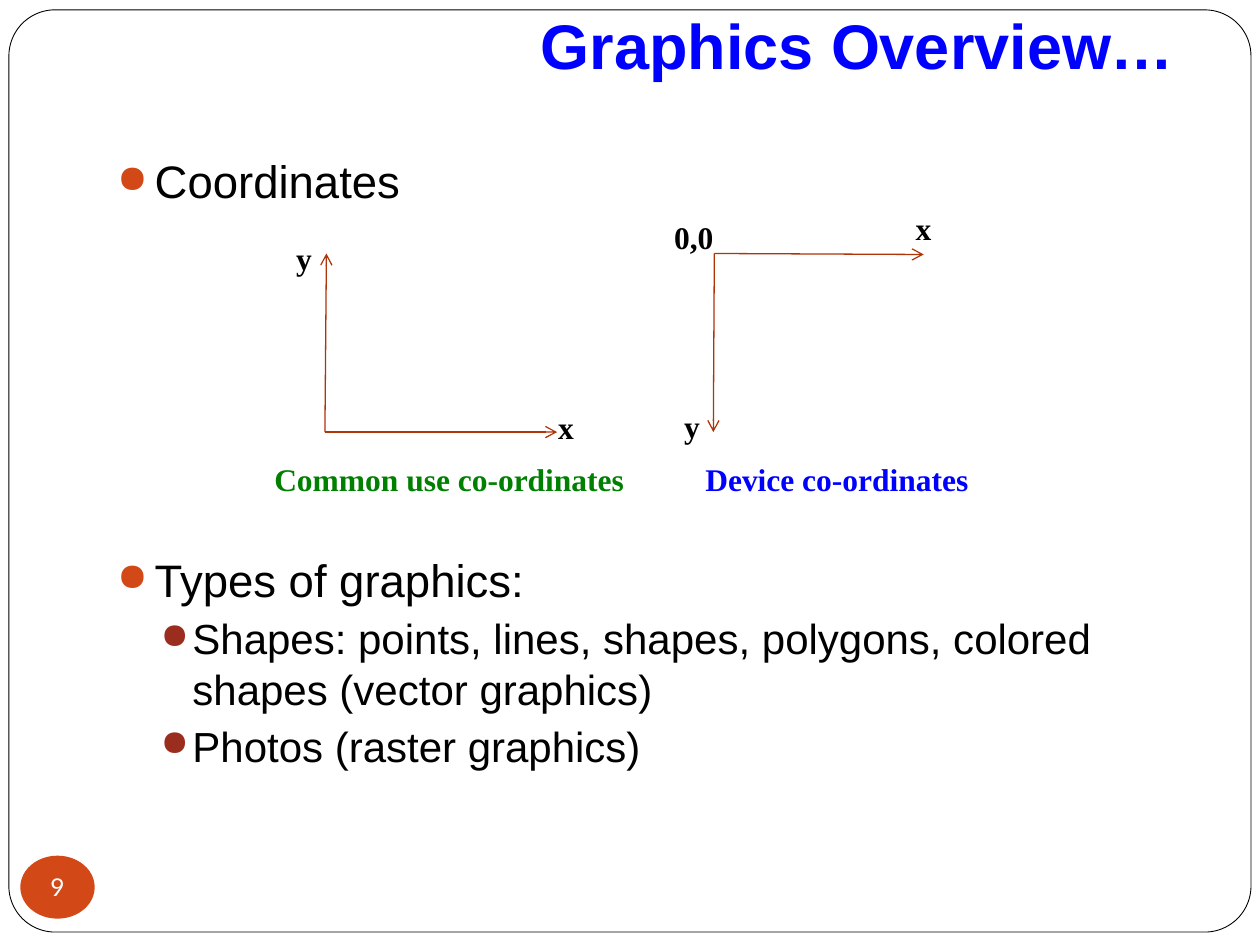
"""Build the graphics overview slide with two coordinate systems."""
from typing import NamedTuple

from lxml import etree
from pptx import Presentation
from pptx import util as u
from pptx.dml.color import RGBColor
from pptx.enum import shapes, text
from pptx.oxml import ns

AXIS_COLOR = "AF3408"
LABEL_FONT = {"name": "Times New Roman", "size": u.Pt(18), "bold": True}


class Label(NamedTuple):
    words: str
    left: float
    top: float
    width: float = 1.27
    height: float = 1.02
    color: str = "000000"


class Axis(NamedTuple):
    x1: float
    y1: float
    x2: float
    y2: float


class Bullet(NamedTuple):
    words: str
    level: int = 0


class Level(NamedTuple):
    size: int
    margin: float
    hanging: float
    before: float
    color: str


LEVELS = [Level(26, 0.76, 0.76, 5.8, "D34817"), Level(24, 1.52, 0.64, 3.7, "9B2D1F")]

AXES = [
    Axis(6.55, 8.71, 6.58, 5.11),
    Axis(6.55, 8.71, 11.23, 8.71),
    Axis(14.4, 5.11, 14.38, 8.71),
    Axis(14.4, 5.11, 18.62, 5.13),
]

LABELS = [
    Label("Common use co-ordinates", 5.28, 9.14, 7.82, 1.78, "008000"),
    Label("Device co-ordinates", 13.97, 9.14, 6.15, 1.78, "0000FF"),
    Label("0,0", 13.34, 4.27, 1.47),
    Label("y", 13.54, 8.08),
    Label("x", 18.21, 4.09),
    Label("x", 11, 8.1),
    Label("y", 5.72, 4.7),
]


def rgb(value: str) -> RGBColor:
    return RGBColor.from_string(value)


def cm(*values: float) -> list[u.Cm]:
    return [u.Cm(v) for v in values]


def apply(target, formats: dict) -> None:
    for name, value in formats.items():
        setattr(target, name, value)


def add_run(p, words: str, color: str, formats: dict) -> None:
    r = p.add_run()
    r.text = words
    apply(r.font, formats)
    r.font.color.rgb = rgb(color)


def add_axis(s, axis: Axis) -> None:
    line = s.shapes.add_connector(shapes.MSO_CONNECTOR.STRAIGHT, *cm(*axis))
    line.line.color.rgb = rgb(AXIS_COLOR)
    line.line.width = u.Pt(0.75)
    etree.SubElement(line.line._get_or_add_ln(), ns.qn("a:tailEnd"), type="arrow")
    etree.SubElement(line.element.spPr, ns.qn("a:effectLst"))


def add_label(s, label: Label) -> None:
    sp = s.shapes.add_textbox(*cm(label.left, label.top, label.width, label.height))
    apply(sp.text_frame, {"word_wrap": True, "auto_size": text.MSO_AUTO_SIZE.SHAPE_TO_FIT_TEXT})
    add_run(sp.text_frame.paragraphs[0], label.words, label.color, LABEL_FONT)


def add_bullets(s, box: tuple[float, ...], bullets: list[Bullet]) -> None:
    tf = s.shapes.add_textbox(*cm(*box)).text_frame
    tf.word_wrap = True
    for i, bullet in enumerate(bullets):
        p = tf.add_paragraph() if i else tf.paragraphs[0]
        level = LEVELS[bullet.level]
        apply(p, {"level": bullet.level, "space_before": u.Pt(level.before)})
        ppr = p._p.get_or_add_pPr()
        ppr.set("marL", str(u.Cm(level.margin)))
        ppr.set("indent", str(-u.Cm(level.hanging)))
        color = etree.SubElement(ppr, ns.qn("a:buClr"))
        etree.SubElement(color, ns.qn("a:srgbClr"), val=level.color)
        etree.SubElement(ppr, ns.qn("a:buSzPct"), val="85000")
        etree.SubElement(ppr, ns.qn("a:buChar"), char="●")
        add_run(p, bullet.words, "000000", {"name": "Arial", "size": u.Pt(level.size)})


def add_title(s, words: str) -> None:
    title = s.shapes.title
    left, top, width, height = cm(2.54, 0, 21.39, 1.91)
    apply(title, {"left": left, "top": top, "width": width, "height": height})
    apply(title.text_frame, {
        "vertical_anchor": text.MSO_ANCHOR.BOTTOM,
        "auto_size": text.MSO_AUTO_SIZE.NONE,
        "word_wrap": True,
        "margin_bottom": u.Cm(0.25),
    })
    p = title.text_frame.paragraphs[0]
    p.alignment = text.PP_ALIGN.RIGHT
    add_run(p, words, "0000FF", {"name": "Arial", "size": u.Pt(36), "bold": True})


def add_frame(s) -> None:
    sp = s.shapes.add_shape(shapes.MSO_SHAPE.ROUNDED_RECTANGLE, *cm(0.18, 0.2, 25.04, 18.59))
    sp.adjustments[0] = 0.05
    sp.shadow.inherit = False
    sp.fill.solid()
    sp.fill.fore_color.rgb = rgb("FFFFFF")
    sp.line.color.rgb = rgb("000000")
    sp.line.width = u.Pt(0.5)
    s.shapes.title.element.addprevious(sp.element)


def add_page_number(s, number: str) -> None:
    sp = s.shapes.add_shape(shapes.MSO_SHAPE.OVAL, *cm(0.41, 17.25, 1.5, 1.27))
    sp.shadow.inherit = False
    sp.fill.solid()
    sp.fill.fore_color.rgb = rgb("D34817")
    sp.line.fill.background()
    tf = sp.text_frame
    apply(tf, {f"margin_{side}": 0 for side in ("left", "top", "right", "bottom")})
    apply(tf, {"word_wrap": False, "vertical_anchor": text.MSO_ANCHOR.MIDDLE})
    p = tf.paragraphs[0]
    p.alignment = text.PP_ALIGN.CENTER
    add_run(p, number, "FFFFFF", {"name": "Lato", "size": u.Pt(14)})


def main() -> None:
    prs = Presentation()
    prs.slide_width, prs.slide_height = cm(25.4, 19.05)
    s = prs.slides.add_slide(prs.slide_layouts[5])
    add_title(s, "Graphics Overview…")
    add_frame(s)
    add_page_number(s, "9")
    add_bullets(s, (2.11, 11, 21.59, 5.08), [
        Bullet("Types of graphics:"),
        Bullet("Shapes: points, lines, shapes, polygons, colored shapes (vector graphics)", 1),
        Bullet("Photos (raster graphics)", 1),
    ])
    add_bullets(s, (2.11, 2.97, 6.35, 1.47), [Bullet("Coordinates")])
    for axis in AXES:
        add_axis(s, axis)
    for label in LABELS:
        add_label(s, label)
    prs.save("out.pptx")


if __name__ == "__main__":
    main()
